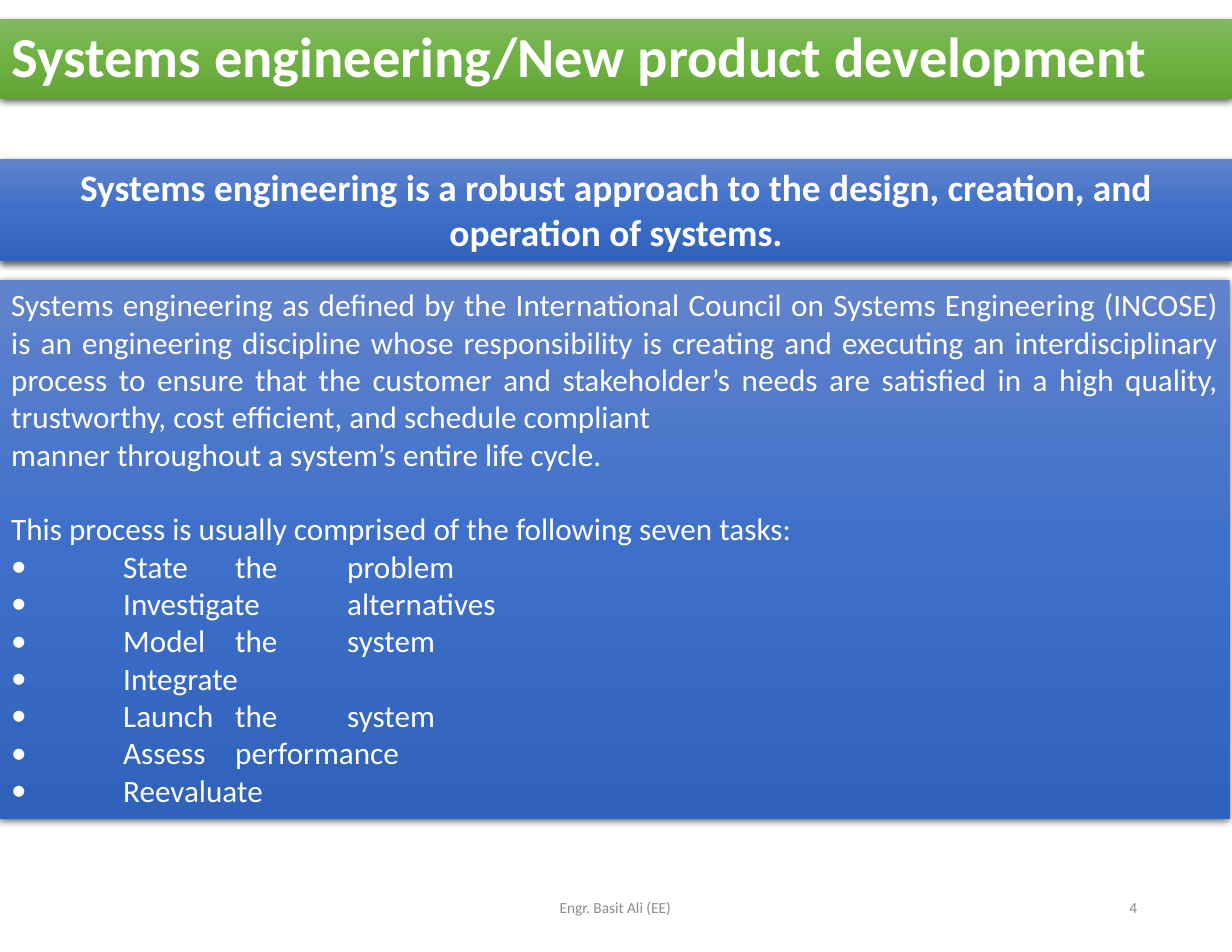
from dataclasses import dataclass

from lxml import etree
from pptx import Presentation
from pptx.dml.color import RGBColor
from pptx.enum.shapes import MSO_SHAPE
from pptx.enum.text import MSO_ANCHOR, MSO_AUTO_SIZE, PP_ALIGN
from pptx.oxml import parse_xml
from pptx.oxml.ns import nsdecls, qn
from pptx.shapes.autoshape import Shape
from pptx.text.text import _Paragraph as Paragraph
from pptx.util import Pt

LEFT, CENTER, RIGHT, JUSTIFY = (
    PP_ALIGN.LEFT, PP_ALIGN.CENTER, PP_ALIGN.RIGHT, PP_ALIGN.JUSTIFY)
TOP, MIDDLE = MSO_ANCHOR.TOP, MSO_ANCHOR.MIDDLE
NO_AUTOFIT = MSO_AUTO_SIZE.NONE
RECTANGLE = MSO_SHAPE.RECTANGLE

COLORS = {"text": "FFFFFF", "footer": "8C8C8C", "shadow": "000000"}
GRADIENTS = {
    "green": ("81B861", "6FB242", "62A336"),
    "blue": ("6183CB", "3E70CA", "3062BB"),
}
FONT = "Calibri"
SLIDE_WIDTH, SLIDE_HEIGHT = 792, 612
TAB_STEP = 72
BODY_SIZE = 20
BLANK_LINE = 24


@dataclass(frozen=True)
class Box:
    left: float
    top: float
    width: float
    height: float


@dataclass(frozen=True)
class Style:
    size: float
    color: str = "text"
    bold: bool = False
    alignment: PP_ALIGN = LEFT


@dataclass(frozen=True)
class FooterItem:
    text: str
    box: Box
    alignment: PP_ALIGN


TITLE_BOX = Box(0, 12.24, SLIDE_WIDTH, 51.12)
SUMMARY_BOX = Box(0, 102.24, SLIDE_WIDTH, 65.5)
BODY_BOX = Box(0, 180, 790.5, 346.3)

TITLE = "Systems engineering/New product development"
SUMMARY = ("Systems engineering is a robust approach to the design, creation, "
           "and operation of systems.")
DEFINITION = (
    "Systems engineering as defined by the International Council on Systems "
    "Engineering (INCOSE) is an engineering discipline whose responsibility is "
    "creating and executing an interdisciplinary process to ensure that the "
    "customer and stakeholder’s needs are satisfied in a high quality, "
    "trustworthy, cost efficient, and schedule compliant",
    "manner throughout a system’s entire life cycle.",
)
TASKS_INTRO = "This process is usually comprised of the following seven tasks:"
TASKS = (
    "State\tthe\tproblem",
    "Investigate\talternatives",
    "Model\tthe\tsystem",
    "Integrate",
    "Launch\tthe\tsystem",
    "Assess\tperformance",
    "Reevaluate",
)
FOOTER_ITEMS = (
    FooterItem("Engr. Basit Ali (EE)", Box(262, 567.4, 267, 32.4), CENTER),
    FooterItem("4", Box(559.4, 567.4, 178.6, 32.4), RIGHT),
)


def place(shape: Shape, box: Box) -> None:
    shape.left, shape.top = Pt(box.left), Pt(box.top)
    shape.width, shape.height = Pt(box.width), Pt(box.height)


def style_panel(shape: Shape, gradient: str, anchor: MSO_ANCHOR) -> None:
    """Give a panel its vertical gradient, soft shadow and text frame settings."""
    shape.fill.gradient()
    shape.fill.gradient_angle = 270
    shape.line.fill.background()
    properties = shape.element.spPr
    stops = properties.find(".//" + qn("a:gsLst"))
    for stop in list(stops):
        stops.remove(stop)
    for index, color in enumerate(GRADIENTS[gradient]):
        stops.append(parse_xml(
            f'<a:gs {nsdecls("a")} pos="{index * 50000}">'
            f'<a:srgbClr val="{color}"/></a:gs>'))

    shape.shadow.inherit = False
    properties.find(qn("a:effectLst")).append(parse_xml(
        f'<a:outerShdw {nsdecls("a")} blurRad="{Pt(4.5)}" dist="{Pt(1.5)}" '
        f'dir="5400000" algn="ctr" rotWithShape="0">'
        f'<a:srgbClr val="{COLORS["shadow"]}"><a:alpha val="63000"/></a:srgbClr>'
        f'</a:outerShdw>'))

    frame = shape.text_frame
    frame.word_wrap = True
    frame.auto_size = NO_AUTOFIT
    frame.vertical_anchor = anchor


def write(paragraph: Paragraph, text: str, style: Style) -> None:
    paragraph.text = text
    paragraph.alignment = style.alignment
    paragraph.space_before = Pt(0)
    font = paragraph.font
    font.name, font.size, font.bold = FONT, Pt(style.size), style.bold
    font.color.rgb = RGBColor.from_string(COLORS[style.color])


def set_bullet(paragraph: Paragraph, bulleted: bool) -> None:
    """Set a hanging bullet with tab columns, or clear the inherited bullet."""
    properties = paragraph._p.get_or_add_pPr()
    indent = Pt(TAB_STEP) if bulleted else 0
    properties.set("marL", str(indent))
    properties.set("indent", str(-indent))
    if not bulleted:
        etree.SubElement(properties, qn("a:buNone"))
        return
    etree.SubElement(properties, qn("a:buFont"), typeface=FONT)
    etree.SubElement(properties, qn("a:buChar"), char="•")
    tabs = etree.SubElement(properties, qn("a:tabLst"))
    for column in range(1, 4):
        etree.SubElement(tabs, qn("a:tab"), pos=str(Pt(column * TAB_STEP)), algn="l")


def fill_body(body: Shape) -> None:
    style = Style(BODY_SIZE, alignment=JUSTIFY)
    lines = (*DEFINITION, TASKS_INTRO, *TASKS)
    frame = body.text_frame
    for index, line in enumerate(lines):
        paragraph = frame.add_paragraph() if index else frame.paragraphs[0]
        set_bullet(paragraph, line in TASKS)
        write(paragraph, line, style)
        if line == TASKS_INTRO:
            paragraph.space_before = Pt(BLANK_LINE)


def add_footer_item(slide, item: FooterItem) -> None:
    shape = slide.shapes.add_textbox(0, 0, 0, 0)
    place(shape, item.box)
    shape.text_frame.word_wrap = True
    shape.text_frame.vertical_anchor = MIDDLE
    write(shape.text_frame.paragraphs[0], item.text,
          Style(9.9, "footer", alignment=item.alignment))


def main() -> None:
    presentation = Presentation()
    presentation.slide_width = Pt(SLIDE_WIDTH)
    presentation.slide_height = Pt(SLIDE_HEIGHT)
    slide = presentation.slides.add_slide(presentation.slide_layouts[1])

    title = slide.shapes.title
    place(title, TITLE_BOX)
    style_panel(title, "green", MIDDLE)
    title_paragraph = title.text_frame.paragraphs[0]
    write(title_paragraph, TITLE, Style(36.3, bold=True))
    title_paragraph.line_spacing = 0.9

    summary = slide.shapes.add_shape(RECTANGLE, 0, 0, 0, 0)
    place(summary, SUMMARY_BOX)
    style_panel(summary, "blue", TOP)
    write(summary.text_frame.paragraphs[0], SUMMARY,
          Style(24, bold=True, alignment=CENTER))

    body = slide.placeholders[1]
    place(body, BODY_BOX)
    style_panel(body, "blue", TOP)
    fill_body(body)

    for item in FOOTER_ITEMS:
        add_footer_item(slide, item)

    presentation.save("out.pptx")


if __name__ == "__main__":
    main()
